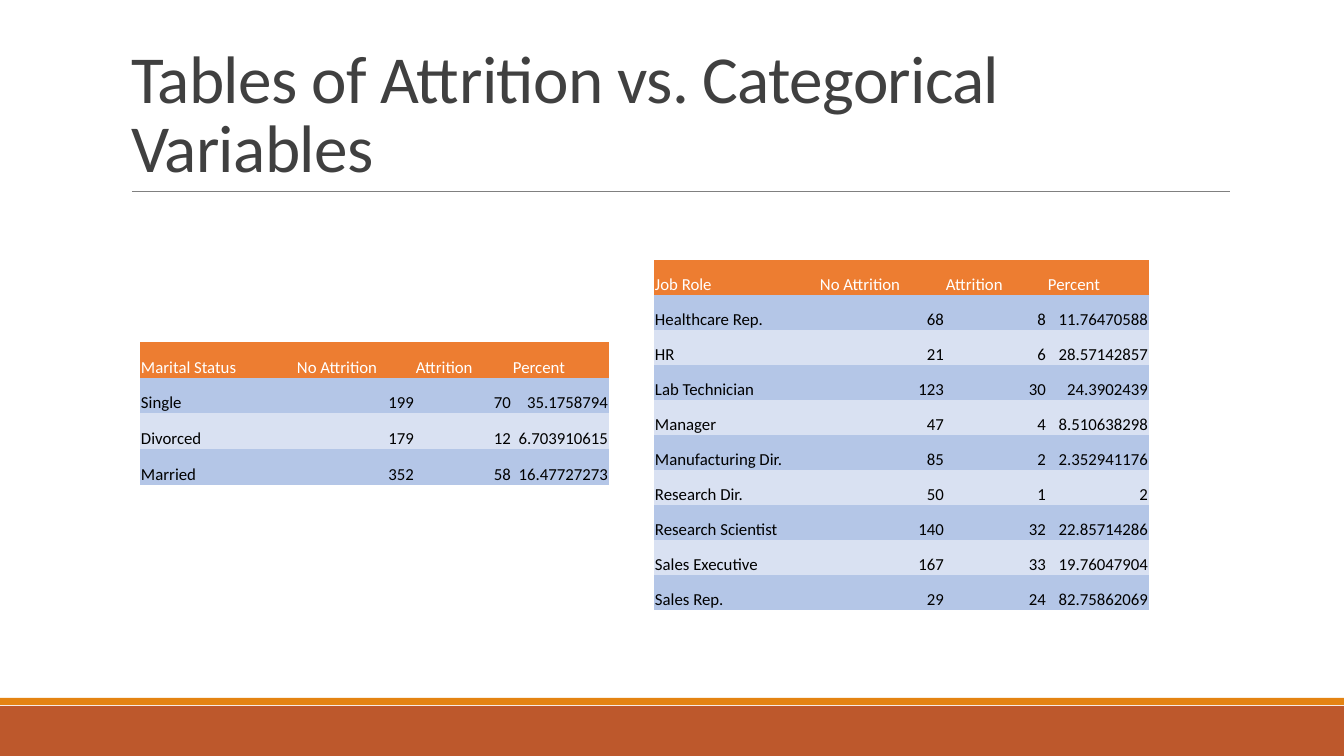
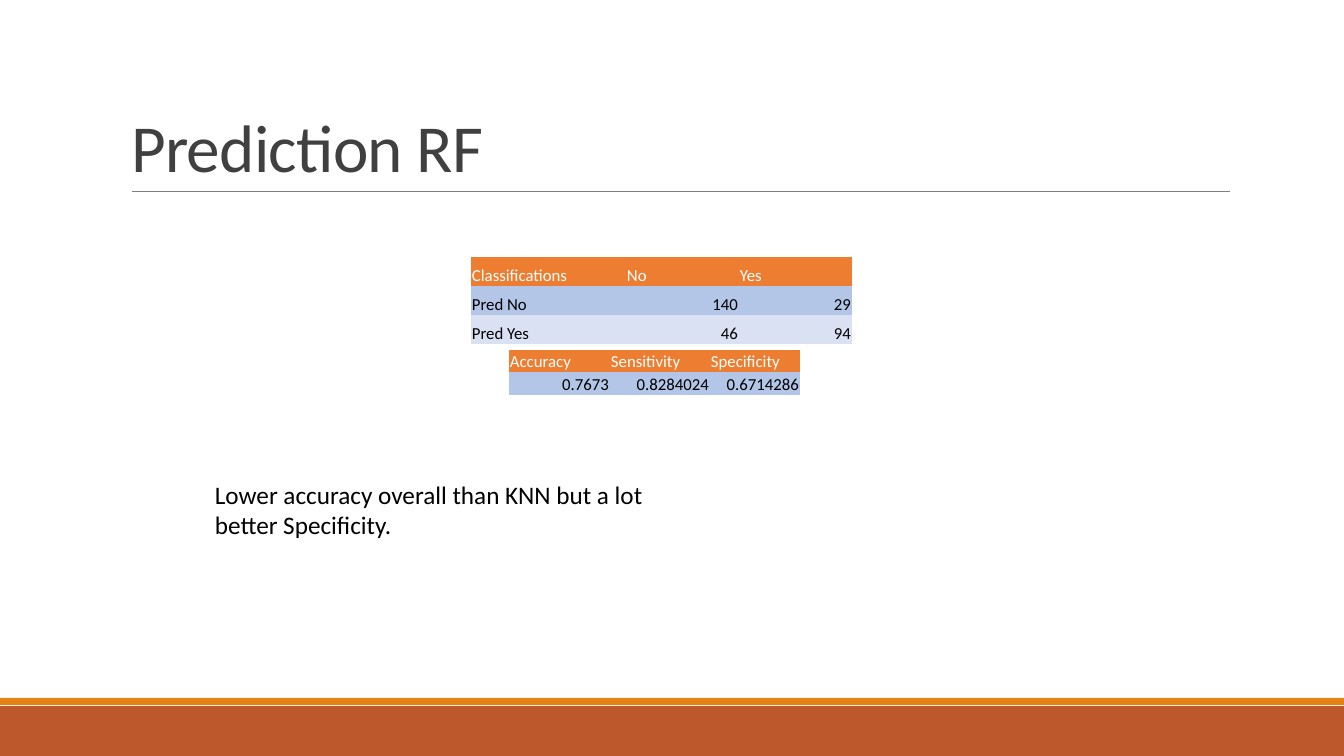
from dataclasses import dataclass

from lxml.etree import SubElement
from pptx import Presentation
from pptx.dml.color import RGBColor as Rgb
from pptx.enum.shapes import MSO_CONNECTOR as Connector, MSO_SHAPE as Preset
from pptx.enum.text import MSO_ANCHOR as Anchor, MSO_AUTO_SIZE as AutoSize, PP_ALIGN as Align
from pptx.oxml.ns import qn
from pptx.util import Emu, Pt

EMU_PER_PIXEL = 914400 / 100.8
WIDTH, HEIGHT = 1344, 756
PLAIN_TABLE_STYLE = "{2D5ABB26-0587-4C30-8999-92F81FD0307C}"


@dataclass(frozen=True)
class Theme:
    """Colours, font and type sizes of the deck."""

    font: str = "Calibri"
    title_size: int = 48
    note_size: int = 18
    table_size: int = 12
    title: Rgb = Rgb(0x40, 0x40, 0x40)
    rule: Rgb = Rgb(0x80, 0x80, 0x80)
    footer: Rgb = Rgb(0xBD, 0x58, 0x2C)
    footer_edge: Rgb = Rgb(0xE4, 0x83, 0x12)
    header: Rgb = Rgb(0xED, 0x7D, 0x31)
    header_text: Rgb = Rgb(0xFF, 0xFF, 0xFF)
    text: Rgb = Rgb(0, 0, 0)
    bands: tuple = (Rgb(0xB4, 0xC6, 0xE7), Rgb(0xD9, 0xE1, 0xF2))


THEME = Theme()

MARITAL_STATUS = [
    ("Marital Status", "No Attrition", "Attrition", "Percent"),
    ("Single", "199", "70", "35.1758794"),
    ("Divorced", "179", "12", "6.703910615"),
    ("Married", "352", "58", "16.47727273"),
]
JOB_ROLE = [
    ("Job Role", "No Attrition", "Attrition", "Percent"),
    ("Healthcare Rep.", "68", "8", "11.76470588"),
    ("HR", "21", "6", "28.57142857"),
    ("Lab Technician", "123", "30", "24.3902439"),
    ("Manager", "47", "4", "8.510638298"),
    ("Manufacturing Dir.", "85", "2", "2.352941176"),
    ("Research Dir.", "50", "1", "2"),
    ("Research Scientist", "140", "32", "22.85714286"),
    ("Sales Executive", "167", "33", "19.76047904"),
    ("Sales Rep.", "29", "24", "82.75862069"),
]
ACCURACY = [
    ("Accuracy", "Sensitivity", "Specificity"),
    ("0.7673", "0.8284024", "0.6714286"),
]
CLASSIFICATIONS = [
    ("Classifications", "No", "Yes"),
    ("Pred No", "140", "29"),
    ("Pred Yes", "46", "94"),
]


def px(pixels):
    """Turn pixels into EMU."""
    return Emu(round(pixels * EMU_PER_PIXEL))


def box(*pixels):
    """Turn a run of pixel lengths into EMU."""
    return [px(length) for length in pixels]


def apply(target, values):
    """Set each named attribute of the target."""
    for name, value in values.items():
        setattr(target, name, value)


def write(frame, text, size, color, **paragraph_format):
    """Put one formatted paragraph into a text frame."""
    frame.text = text
    paragraph = frame.paragraphs[0]
    apply(paragraph, paragraph_format)
    font = paragraph.runs[0].font
    apply(font, {"name": THEME.font, "size": Pt(size)})
    font.color.rgb = color


def add_band(slide, top, height, color):
    """Draw a full-width band."""
    band = slide.shapes.add_shape(Preset.RECTANGLE, *box(0, top, WIDTH, height))
    band.shadow.inherit = False
    band.fill.solid()
    band.fill.fore_color.rgb = color
    band.line.fill.background()
    return band


def add_rule(slide, left, right, y):
    """Draw the thin line below the title."""
    rule = slide.shapes.add_connector(Connector.STRAIGHT, *box(left, y, right, y))
    rule.line.width = Pt(0.5)
    rule.line.color.rgb = THEME.rule
    SubElement(rule.element.spPr, qn("a:effectLst"))
    return rule


def furnish_layout(layout, slide):
    """Place the title, footer bands and title rule on the shared layout."""
    title, *footers = layout.placeholders
    for footer in footers:
        footer.element.getparent().remove(footer.element)
    apply(title, dict(zip(("left", "top", "width", "height"), box(121, 31, 1109, 160))))
    for part in (
        add_band(slide, 706, 50, THEME.footer),
        add_band(slide, 698, 7, THEME.footer_edge),
        add_rule(slide, 132, 1230, 191),
    ):
        layout.shapes.element.append(part.element)


def set_title(slide, text):
    """Fill the title placeholder, with slightly tightened letters."""
    title = slide.shapes.title
    frame = title.text_frame
    apply(frame, {"vertical_anchor": Anchor.BOTTOM, "auto_size": AutoSize.NONE})
    write(frame, text, THEME.title_size, THEME.title,
          alignment=Align.LEFT, line_spacing=0.85)
    for properties in title.element.iter(qn("a:rPr")):
        properties.set("spc", "-50")


def format_cell(cell, text, is_header, band):
    """Write one cell, with values right-aligned below the header."""
    is_value = not is_header and text[0].isdigit()
    apply(cell, {
        "vertical_anchor": Anchor.BOTTOM,
        "margin_left": px(1),
        "margin_right": px(1),
        "margin_top": px(1),
        "margin_bottom": 0,
    })
    cell.fill.solid()
    cell.fill.fore_color.rgb = THEME.header if is_header else band
    write(cell.text_frame, text, THEME.table_size,
          THEME.header_text if is_header else THEME.text,
          alignment=Align.RIGHT if is_value else Align.LEFT)


def add_data_table(slide, rows, left, top, height, widths):
    """Add a banded table with equal row heights."""
    holder = slide.shapes.add_table(
        len(rows), len(widths), *box(left, top, sum(widths), height))
    for style in holder.element.iter(qn("a:tableStyleId")):
        style.text = PLAIN_TABLE_STYLE
    table = holder.table
    for column, width in zip(table.columns, widths):
        column.width = px(width)
    for row_number, texts in enumerate(rows):
        band = THEME.bands[(row_number - 1) % len(THEME.bands)]
        for column_number, text in enumerate(texts):
            format_cell(table.cell(row_number, column_number), text,
                        row_number == 0, band)


def add_note(slide, text, left, top, width, height):
    """Add a wrapped remark."""
    frame = slide.shapes.add_textbox(*box(left, top, width, height)).text_frame
    apply(frame, {"word_wrap": True, "auto_size": AutoSize.SHAPE_TO_FIT_TEXT})
    write(frame, text, THEME.note_size, THEME.text)


def main():
    """Build and save the deck."""
    deck = Presentation()
    apply(deck, {"slide_width": px(WIDTH), "slide_height": px(HEIGHT)})
    layout = deck.slide_layouts.get_by_name("Title Only")

    attrition = deck.slides.add_slide(layout)
    furnish_layout(layout, attrition)
    set_title(attrition, "Tables of Attrition vs. Categorical Variables")
    add_data_table(attrition, MARITAL_STATUS, 140, 342, 143, (156, 119, 97, 97))
    add_data_table(attrition, JOB_ROLE, 654, 260, 350, (165, 126, 102, 102))

    prediction = deck.slides.add_slide(layout)
    set_title(prediction, "Prediction RF")
    add_data_table(prediction, ACCURACY, 509, 350, 45, (101, 100, 90))
    add_data_table(prediction, CLASSIFICATIONS, 471, 257, 87, (155, 113, 113))
    add_note(prediction, "Lower accuracy overall than KNN but a lot better Specificity.",
             205, 474, 498, 72)

    deck.save("out.pptx")


main()
